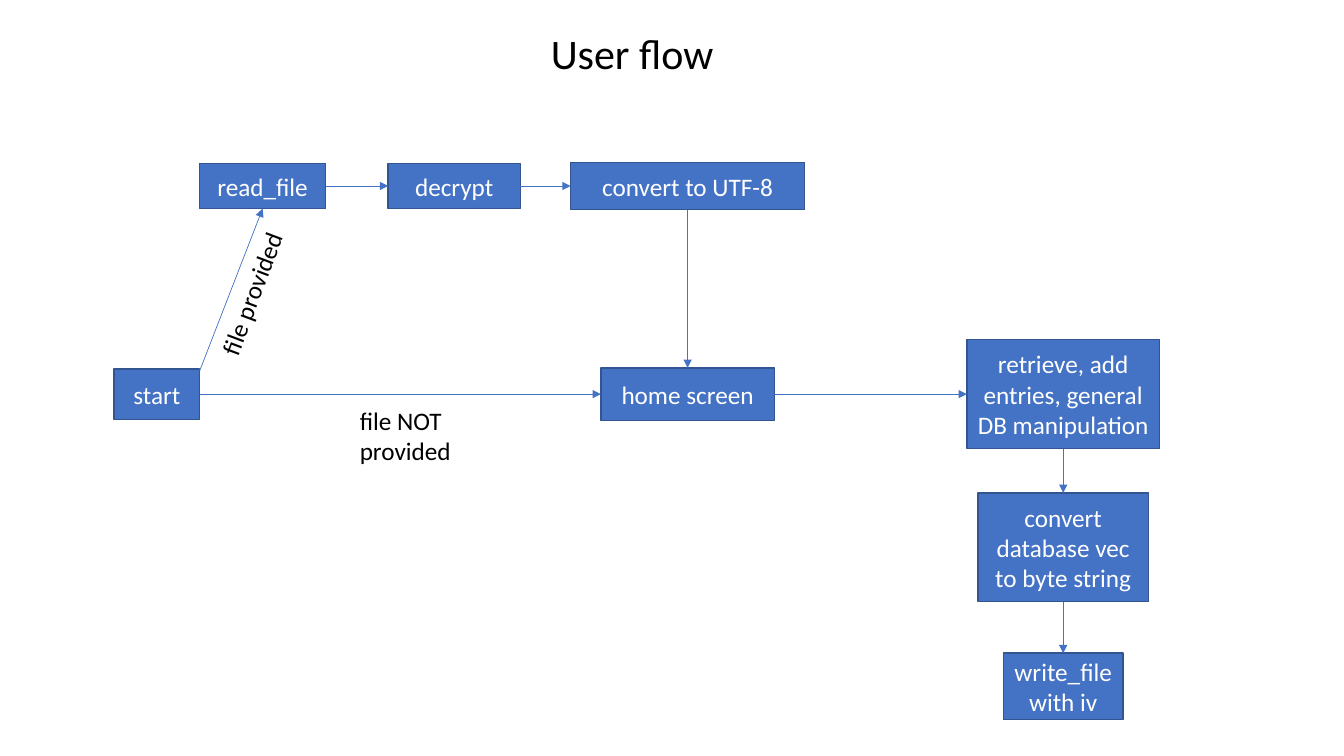
from dataclasses import dataclass

from lxml import etree
from pptx import Presentation
from pptx.dml.color import RGBColor
from pptx.enum.shapes import MSO_CONNECTOR, MSO_SHAPE
from pptx.enum.text import MSO_ANCHOR, MSO_AUTO_SIZE, PP_ALIGN
from pptx.oxml.ns import qn
from pptx.util import Inches, Pt

STRAIGHT = MSO_CONNECTOR.STRAIGHT
RECT = MSO_SHAPE.RECTANGLE
TOP, MIDDLE = MSO_ANCHOR.TOP, MSO_ANCHOR.MIDDLE
LEFT, CENTER = PP_ALIGN.LEFT, PP_ALIGN.CENTER
FIT_SHAPE, FIT_NONE = MSO_AUTO_SIZE.SHAPE_TO_FIT_TEXT, MSO_AUTO_SIZE.NONE
TITLE_ONLY = 5
# Connection sites of a rectangle
SITE_TOP, SITE_LEFT, SITE_BOTTOM, SITE_RIGHT = range(4)


@dataclass(frozen=True)
class Theme:
    """Colours, font and sizes of the slide."""
    blue: RGBColor = RGBColor(0x44, 0x72, 0xC4)
    border: RGBColor = RGBColor(0x32, 0x54, 0x91)
    white: RGBColor = RGBColor(0xFF, 0xFF, 0xFF)
    black: RGBColor = RGBColor(0, 0, 0)
    font: str = "Calibri"
    title_size: Pt = Pt(30)
    body_size: Pt = Pt(18)
    border_width: Pt = Pt(1)
    arrow_width: Pt = Pt(0.5)


def set_attrs(obj, values):
    """Set each attribute of obj from a dict."""
    for name, value in values.items():
        setattr(obj, name, value)


class FlowSlide:
    """Holds the theme and the slide being drawn."""

    def __init__(self, slide, theme):
        self.s, self.theme = slide, theme

    def put_text(self, sp, text, size, color, align=LEFT, anchor=TOP,
                 fit=FIT_SHAPE):
        """Put one formatted paragraph in a shape."""
        tf = sp.text_frame
        set_attrs(tf, {
            "word_wrap": True, "auto_size": fit, "vertical_anchor": anchor,
            "margin_left": Inches(0.1), "margin_right": Inches(0.1),
            "margin_top": Inches(0.05), "margin_bottom": Inches(0.05)})
        p = tf.paragraphs[0]
        p.alignment = align
        r = p.add_run()
        r.text = text
        set_attrs(r.font, {"name": self.theme.font, "size": size})
        r.font.color.rgb = color

    def title(self, text, left, top, width, height):
        """Move and fill the title placeholder."""
        sp = self.s.shapes.title
        set_attrs(sp, {"left": Inches(left), "top": Inches(top),
                       "width": Inches(width), "height": Inches(height)})
        self.put_text(sp, text, self.theme.title_size, self.theme.black, CENTER)

    def step(self, text, left, top, width, height):
        """Add a blue box for one step and return it."""
        sp = self.s.shapes.add_shape(
            RECT, *map(Inches, (left, top, width, height)))
        sp.shadow.inherit = False
        sp.fill.solid()
        sp.fill.fore_color.rgb = self.theme.blue
        sp.line.color.rgb = self.theme.border
        sp.line.width = self.theme.border_width
        self.put_text(sp, text, self.theme.body_size, self.theme.white,
                      CENTER, MIDDLE, FIT_NONE)
        return sp

    def label(self, text, left, top, width, height, rotation=0):
        """Add a plain text label."""
        sp = self.s.shapes.add_textbox(
            *map(Inches, (left, top, width, height)))
        sp.rotation = rotation
        self.put_text(sp, text, self.theme.body_size, self.theme.black)

    def arrow(self, target, target_site, source=None, source_site=None,
              start=(0, 0)):
        """Point an arrow at a step, from another step or a free point."""
        x, y = map(Inches, start)
        cx = self.s.shapes.add_connector(STRAIGHT, x, y, x, y)
        if source is not None:
            cx.begin_connect(source, source_site)
        cx.end_connect(target, target_site)
        cx.line.color.rgb = self.theme.blue
        cx.line.width = self.theme.arrow_width
        props = cx.element.spPr
        etree.SubElement(props.find(qn("a:ln")), qn("a:tailEnd"),
                         type="triangle")
        etree.SubElement(props, qn("a:effectLst"))


STEPS = {
    "start": ("start", 1.13, 3.66, 0.85, 0.5),
    "read": ("read_file", 1.98, 1.62, 1.25, 0.45),
    "decrypt": ("decrypt", 3.85, 1.62, 1.31, 0.45),
    "utf8": ("convert to UTF-8", 5.66, 1.61, 2.32, 0.47),
    "home": ("home screen", 5.96, 3.65, 1.72, 0.52),
    "manage": ("retrieve, add entries, general DB manipulation",
               9.59, 3.37, 1.91, 1.08),
    "convert": ("convert database vec to byte string", 9.7, 4.89, 1.69, 1.08),
    "store": ("write_file with iv", 9.95, 6.48, 1.19, 0.66),
}
ACROSS = [("start", "home"), ("read", "decrypt"), ("decrypt", "utf8"),
          ("home", "manage")]
DOWN = [("utf8", "home"), ("manage", "convert"), ("convert", "store")]


def main():
    """Build and save the user flow slide."""
    prs = Presentation()
    set_attrs(prs, {"slide_width": Inches(13.33), "slide_height": Inches(7.5)})
    flow = FlowSlide(prs.slides.add_slide(prs.slide_layouts[TITLE_ONLY]), Theme())

    flow.title("User flow", 3.68, 0.22, 5.18, 0.61)
    boxes = {name: flow.step(*step) for name, step in STEPS.items()}
    for source, target in ACROSS:
        flow.arrow(boxes[target], SITE_LEFT, boxes[source], SITE_RIGHT)
    for source, target in DOWN:
        flow.arrow(boxes[target], SITE_TOP, boxes[source], SITE_BOTTOM)
    flow.arrow(boxes["read"], SITE_BOTTOM, start=(1.98, 3.68))

    flow.label("file provided", 1.73, 2.67, 1.56, 0.4, rotation=290.6)
    flow.label("file NOT provided", 3.47, 3.97, 1.2, 0.71)
    prs.save("out.pptx")


main()
